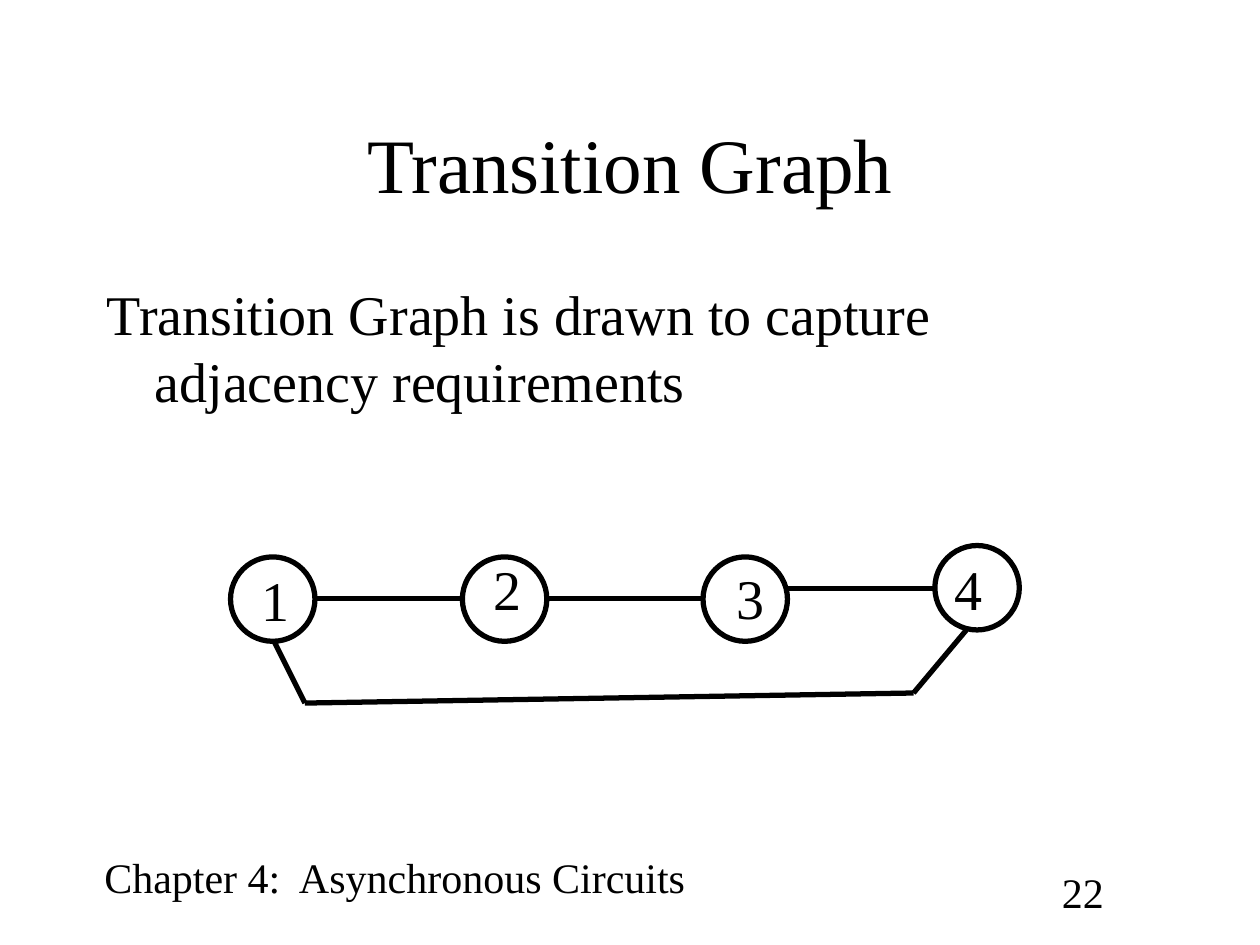
import pptx
from pptx.dml.color import RGBColor
from pptx.enum.shapes import MSO_CONNECTOR, MSO_SHAPE
from pptx.enum.text import MSO_ANCHOR, PP_ALIGN
from pptx.oxml.ns import qn
from pptx.util import Inches, Pt

FONT, BLACK = "Times New Roman", "000000"
TITLE = "Transition Graph"
BODY = "Transition Graph is drawn to capture adjacency requirements"
# text, size, box
FOOTERS = [
    ("Chapter 4:  Asynchronous Circuits", 24, (0.73, 6.71, 4.91, 0.5)),
    ("22", 24, (8.33, 6.83, 0.92, 0.5)),
]
DIAMETER = 0.67
# state, circle corner, label corner
STATES = [
    ("1", (1.83, 4.42), (1.98, 4.44)),
    ("2", (3.67, 4.42), (3.82, 4.35)),
    ("3", (5.58, 4.42), (5.75, 4.42)),
    ("4", (7.42, 4.33), (7.48, 4.35)),
]
LINKS = [[(2.5, 4.75), (3.67, 4.75)],
         [(4.33, 4.75), (5.58, 4.75)],
         [(6.25, 4.67), (7.42, 4.67)],
         [(2.17, 5.08), (2.42, 5.58), (7.25, 5.5), (7.67, 5)]]


def color(hex_code):
    return RGBColor.from_string(hex_code)


def set_text(sp, text, size):
    tf = sp.text_frame
    tf.word_wrap = True
    p = tf.paragraphs[0]
    p.text = text
    p.font.name, p.font.size = FONT, Pt(size)
    p.font.color.rgb = color(BLACK)
    return p


def add_text(s, text, size, box):
    return set_text(s.shapes.add_textbox(*map(Inches, box)), text, size)


def set_line(sp):
    sp.line.color.rgb = color(BLACK)
    sp.line.width = Pt(3)


def add_line(s, start, end):
    line = s.shapes.add_connector(MSO_CONNECTOR.STRAIGHT, *map(Inches, start + end))
    set_line(line)
    line._element.spPr.append(line._element.makeelement(qn("a:effectLst"), {}))


def main():
    prs = pptx.Presentation()
    prs.slide_width, prs.slide_height = Inches(10), Inches(7.5)
    s = prs.slides.add_slide(prs.slide_layouts[5])

    title = s.shapes.title
    title.left, title.top, title.width, title.height = map(Inches, (0.75, 0.67, 8.5, 1.25))
    title.text_frame.vertical_anchor = MSO_ANCHOR.MIDDLE
    set_text(title, TITLE, 44).alignment = PP_ALIGN.CENTER

    p = add_text(s, BODY, 32, (0.75, 2.17, 8.5, 4.5))
    pPr = p._p.get_or_add_pPr()
    pPr.set("marL", str(Inches(0.38)))
    pPr.set("indent", str(Inches(-0.38)))

    for footer in FOOTERS:
        add_text(s, *footer)

    for state, corner, label_corner in STATES:
        circle = s.shapes.add_shape(
            MSO_SHAPE.OVAL, *map(Inches, corner + (DIAMETER, DIAMETER)))
        circle.shadow.inherit = False
        circle.fill.background()
        set_line(circle)
        add_text(s, state, 32, label_corner + (0.42, 0.64))

    for points in LINKS:
        for start, end in zip(points, points[1:]):
            add_line(s, start, end)

    prs.save("out.pptx")


if __name__ == "__main__":
    main()
